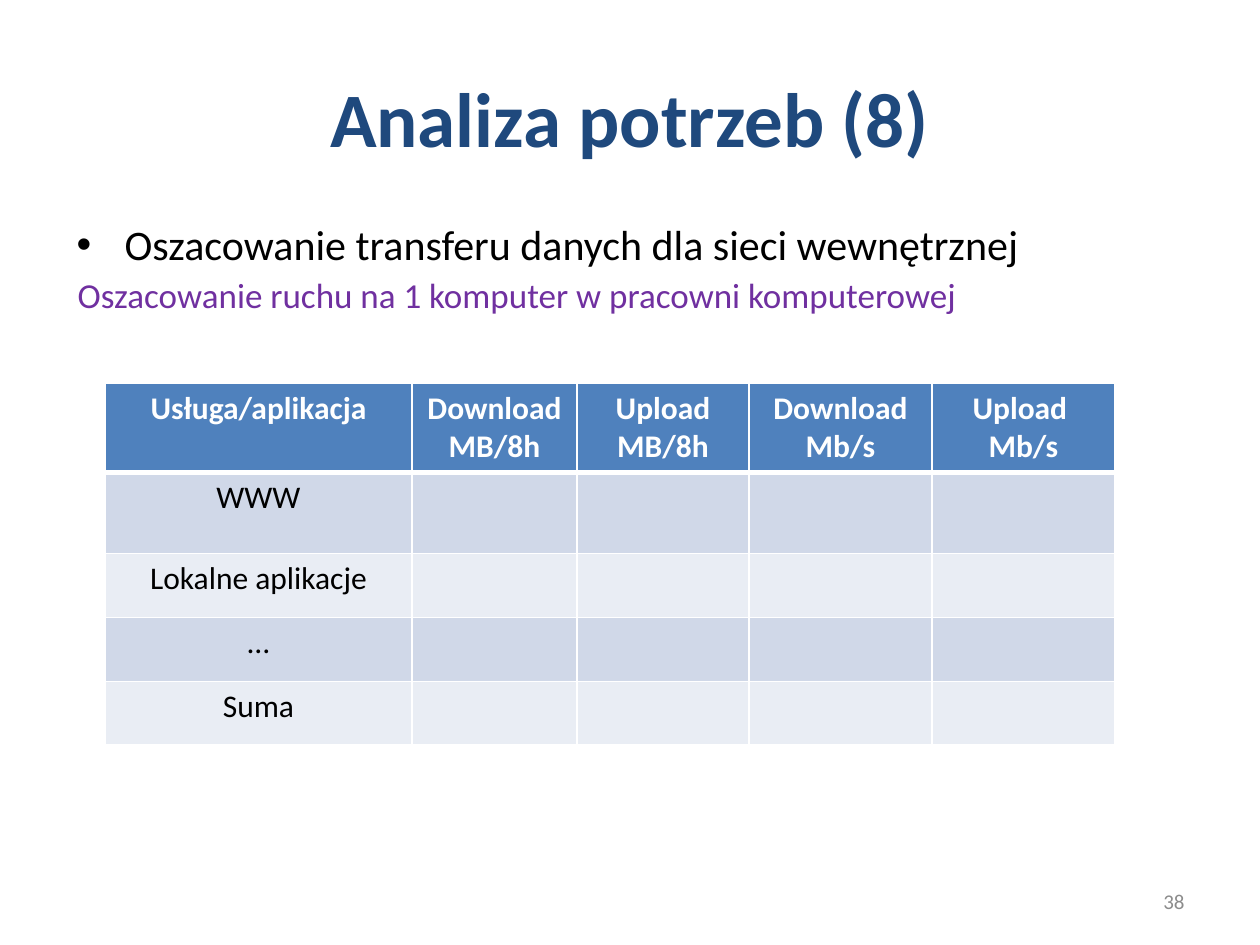
from dataclasses import dataclass

from lxml.etree import SubElement
from pptx import Presentation
from pptx.dml.color import RGBColor
from pptx.enum.text import MSO_ANCHOR as Anchor, MSO_AUTO_SIZE as AutoSize, PP_ALIGN as Align
from pptx.oxml.ns import qn
from pptx.util import Emu, Pt

PX = 914400 / 126  # EMU in one px

TITLE = "Analiza potrzeb (8)"
BULLET = "Oszacowanie transferu danych dla sieci wewnętrznej"
SUBTITLE = "Oszacowanie ruchu na 1 komputer w pracowni komputerowej"
HEADERS = ["Usługa/aplikacja", "Download MB/8h", "Upload MB/8h", "Download Mb/s", "Upload \vMb/s"]
SERVICES = ["WWW", "Lokalne aplikacje", "…", "Suma"]
PAGE_NUMBER = "38"

SLIDE_SIZE = (1260, 945)
TITLE_BOX = (63, 38, 1134, 157)
BODY_BOX = (63, 220, 1163, 659)
NUMBER_BOX = (903, 876, 294, 50)
TABLE_ORIGIN = (105, 383)
COLUMN_WIDTHS = [307, 165, 172, 183, 183]
ROW_HEIGHTS = [89, 81, 64, 64, 63]


@dataclass(frozen=True)
class Theme:
    font: str = "Calibri"
    title: str = "1F497D"
    text: str = "000000"
    accent: str = "7030A0"
    muted: str = "8C8C8C"
    white: str = "FFFFFF"
    header: str = "4F81BD"
    bands: tuple = ("D0D8E8", "E9EDF4")
    title_size: int = 44
    bullet_size: int = 24
    subtitle_size: int = 20
    table_size: int = 18
    number_size: int = 12


THEME = Theme()


def px(length):
    return Emu(round(length * PX))


def place(shape, box):
    for name, length in zip(("left", "top", "width", "height"), box):
        setattr(shape, name, px(length))


def format_paragraph(paragraph, size, color, bold=False, **layout):
    for name, value in layout.items():
        setattr(paragraph, name, value)
    for font in [paragraph.font] + [run.font for run in paragraph.runs]:
        for name, value in {"name": THEME.font, "size": Pt(size), "bold": bold}.items():
            setattr(font, name, value)
        font.color.rgb = RGBColor.from_string(color)


def indent(paragraph, margin, first_line, bullet=None):
    properties = paragraph._p.get_or_add_pPr()
    properties.set("marL", str(px(margin)))
    properties.set("indent", str(px(first_line)))
    if bullet:
        SubElement(properties, qn("a:buChar"), char=bullet)
    else:
        SubElement(properties, qn("a:buNone"))


def set_borders(cell, bottom_width):
    properties = cell._tc.get_or_add_tcPr()
    widths = {"lnL": 1, "lnR": 1, "lnT": 1, "lnB": bottom_width}
    for position, (side, width) in enumerate(widths.items()):
        line = SubElement(properties, qn(f"a:{side}"), w=str(Pt(width)))
        fill = SubElement(line, qn("a:solidFill"))
        SubElement(fill, qn("a:srgbClr"), val=THEME.white)
        properties.insert(position, line)


def add_title(slide):
    title = slide.shapes.title
    place(title, TITLE_BOX)
    title.text_frame.text = TITLE
    title.text_frame.vertical_anchor = Anchor.MIDDLE
    format_paragraph(title.text_frame.paragraphs[0], THEME.title_size, THEME.title,
                     bold=True, alignment=Align.CENTER)


def add_body(slide):
    body = slide.placeholders[1]
    place(body, BODY_BOX)
    frame = body.text_frame
    frame.auto_size = AutoSize.NONE
    frame.text = f"{BULLET}\n{SUBTITLE}"
    first, second = frame.paragraphs
    spacing = {"line_spacing": 0.85, "space_before": Pt(6)}
    format_paragraph(first, THEME.bullet_size, THEME.text, **spacing)
    format_paragraph(second, THEME.subtitle_size, THEME.accent, **spacing)
    indent(first, 49, -48, "•")
    indent(second, 2, 0)


def add_services_table(slide):
    rows = [HEADERS] + [[service] + [""] * (len(HEADERS) - 1) for service in SERVICES]
    box = (*TABLE_ORIGIN, sum(COLUMN_WIDTHS), sum(ROW_HEIGHTS))
    table = slide.shapes.add_table(len(rows), len(HEADERS), *map(px, box)).table
    for column, width in zip(table.columns, COLUMN_WIDTHS):
        column.width = px(width)
    for index, (row, height) in enumerate(zip(table.rows, ROW_HEIGHTS)):
        row.height = px(height)
        is_header = index == 0
        fill = THEME.header if is_header else THEME.bands[(index - 1) % 2]
        color = THEME.white if is_header else THEME.text
        for cell, text in zip(row.cells, rows[index]):
            cell.text = text
            cell.fill.solid()
            cell.fill.fore_color.rgb = RGBColor.from_string(fill)
            set_borders(cell, 3 if is_header else 1)
            format_paragraph(cell.text_frame.paragraphs[0], THEME.table_size, color,
                             bold=is_header, alignment=Align.CENTER)


def add_page_number(slide):
    frame = slide.shapes.add_textbox(*map(px, NUMBER_BOX)).text_frame
    frame.word_wrap = True
    frame.vertical_anchor = Anchor.MIDDLE
    frame.text = PAGE_NUMBER
    format_paragraph(frame.paragraphs[0], THEME.number_size, THEME.muted, alignment=Align.RIGHT)


def main():
    presentation = Presentation()
    presentation.slide_width, presentation.slide_height = map(px, SLIDE_SIZE)
    slide = presentation.slides.add_slide(presentation.slide_layouts[1])
    add_title(slide)
    add_body(slide)
    add_services_table(slide)
    add_page_number(slide)
    presentation.save("out.pptx")


if __name__ == "__main__":
    main()
